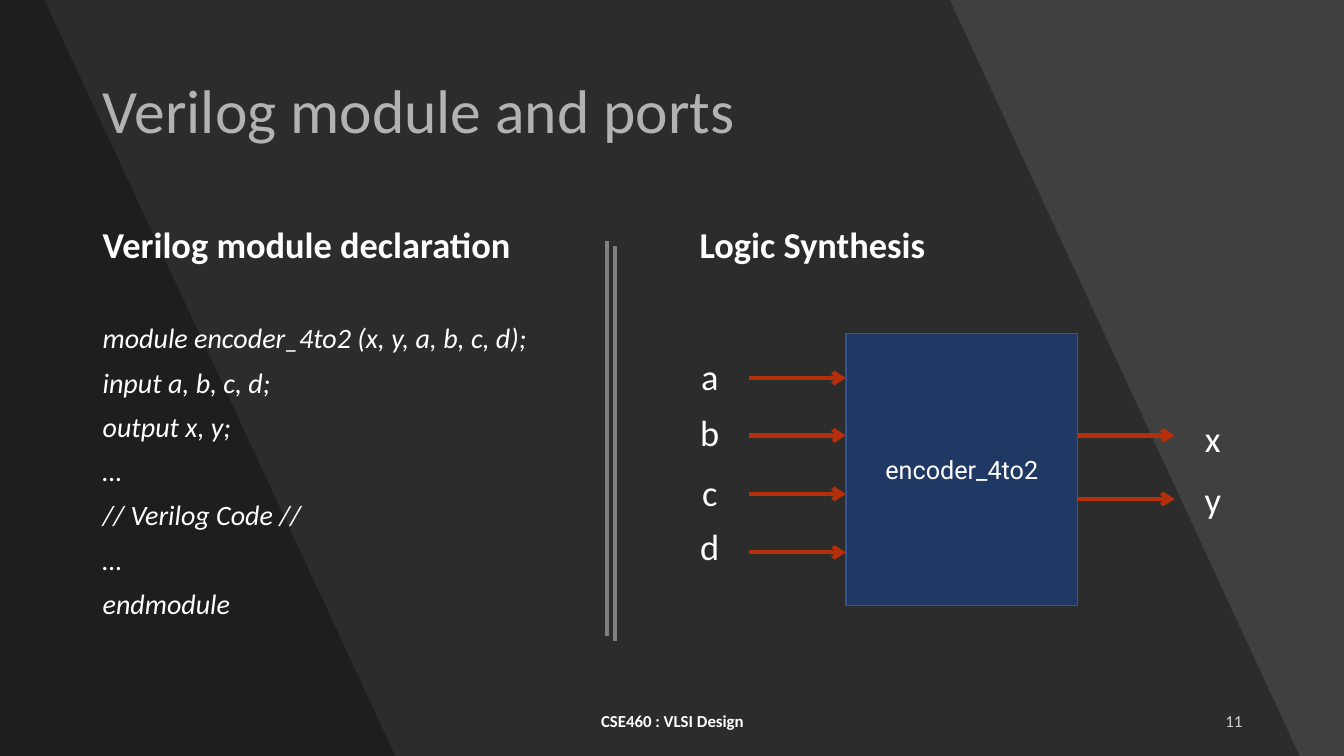
from lxml import etree
from pptx import Presentation
from pptx import util as u
from pptx.dml.color import RGBColor
from pptx.enum import shapes, text
from pptx.oxml.ns import qn

PX = 9144  # EMU in one px, 100 px to the inch
WIDTH, HEIGHT = 1333, 750

CHARCOAL = RGBColor(0x40, 0x40, 0x40)
BLACK = RGBColor(0x00, 0x00, 0x00)
WHITE = RGBColor(0xFF, 0xFF, 0xFF)
GREY = RGBColor(0x80, 0x80, 0x80)
NAVY = RGBColor(0x20, 0x38, 0x64)
BLUE = RGBColor(0x32, 0x54, 0x91)
RUST = RGBColor(0xB5, 0x2F, 0x0B)

LEFT, CENTER, RIGHT = text.PP_ALIGN.LEFT, text.PP_ALIGN.CENTER, text.PP_ALIGN.RIGHT
HEADING = dict(size=26, bold=True)
CODE = dict(size=20, italic=True)
PORT = dict(size=26)

CODE_LINES = [
    "module encoder_4to2 (x, y, a, b, c, d);",
    "input a, b, c, d;",
    "output x, y;",
    "…",
    "// Verilog Code //",
    "…",
    "endmodule",
]
# port name, top of its label and height of its arrow, from the block's top
INPUTS = [("a", 15, 44), ("b", 71, 101), ("c", 130, 159), ("d", 184, 217)]
OUTPUTS = [("x", 76, 101), ("y", 137, 164)]


def px(*lengths):
    return [u.Emu(length * PX) for length in lengths]


def set_opacity(fill_parent, percent):
    color = next(fill_parent.iter(qn("a:srgbClr")))
    etree.SubElement(color, qn("a:alpha")).set("val", str(percent * 1000))


def write(para, words, size, name="Calibri", align=LEFT, **formats):
    para.alignment = align
    span = para.add_run()
    span.text = words
    span.font.color.rgb = WHITE
    for key, value in dict(formats, size=u.Pt(size), name=name).items():
        setattr(span.font, key, value)
    return span


def add_text(page, box, words, anchor=text.MSO_ANCHOR.MIDDLE, **formats):
    frame = page.shapes.add_textbox(*px(*box)).text_frame
    frame.word_wrap = True
    frame.vertical_anchor = anchor
    span = write(frame.paragraphs[0], words, **formats)
    return frame, span


def add_line(page, start, end, color, arrow=False):
    line = page.shapes.add_connector(shapes.MSO_CONNECTOR.STRAIGHT, *px(*start, *end))
    line.line.color.rgb = color
    line.line.width = u.Pt(3)
    properties = line._element.spPr
    if arrow:
        etree.SubElement(properties.find(qn("a:ln")), qn("a:tailEnd")).set("type", "arrow")
    etree.SubElement(properties, qn("a:effectLst"))


def draw_backdrop(page):
    fill = page.background.fill
    fill.solid()
    fill.fore_color.rgb = CHARCOAL
    for top_right, bottom_right in [(942, 1289), (44, 392)]:
        builder = page.shapes.build_freeform(0, 0, scale=PX)
        builder.add_line_segments([(top_right, 0), (bottom_right, HEIGHT), (0, HEIGHT)])
        shade = builder.convert_to_shape()
        shade.shadow.inherit = False
        shade.fill.solid()
        shade.fill.fore_color.rgb = BLACK
        set_opacity(shade._element.spPr, 30)
        shade.line.fill.background()


def place_title(page, box):
    title = page.shapes.title
    title.left, title.top, title.width, title.height = px(*box)
    frame = title.text_frame
    frame.word_wrap = True
    frame.auto_size = text.MSO_AUTO_SIZE.NONE
    frame.vertical_anchor = text.MSO_ANCHOR.MIDDLE
    frame.paragraphs[0].line_spacing = 0.9
    write(frame.paragraphs[0], "Verilog module and ports", 44)


def add_column(page, box, heading, lines=()):
    frame, _ = add_text(page, box, heading, text.MSO_ANCHOR.TOP, **HEADING)
    frame.paragraphs[0].line_spacing = 0.9
    for index, words in enumerate(lines):
        para = frame.add_paragraph()
        para.line_spacing = 0.9
        para.space_before = u.Pt(10 if index else 42)
        write(para, words, **CODE)


def add_divider(page, left, top, height):
    for dx, dy in [(0, 0), (8, 5)]:
        add_line(page, (left + dx, top + dy), (left + dx, top + dy + height), GREY)


def add_ports(page, ports, top, arrow_left, label_left):
    for name, label_dy, arrow_dy in ports:
        y = top + arrow_dy
        add_line(page, (arrow_left, y), (arrow_left + 96, y), RUST, arrow=True)
        add_text(page, (label_left, top + label_dy, 54, 54), name, align=CENTER, **PORT)


def add_encoder(page, box):
    """Draw the encoder block with its input and output ports."""
    left, top, width, _ = box
    block = page.shapes.add_shape(shapes.MSO_SHAPE.RECTANGLE, *px(*box))
    block.shadow.inherit = False
    block.fill.solid()
    block.fill.fore_color.rgb = NAVY
    block.line.color.rgb = BLUE
    block.line.width = u.Pt(1)
    block.text_frame.vertical_anchor = text.MSO_ANCHOR.MIDDLE
    write(block.text_frame.paragraphs[0], "encoder_4to2", 18, "Roboto", CENTER)
    add_ports(page, INPUTS, top, left - 96, left - 162)
    add_ports(page, OUTPUTS, top, left + width, left + width + 107)


def add_footer(page, top, height):
    add_text(page, (442, top, 450, height), "CSE460 : VLSI Design",
             size=12, bold=True, align=CENTER)
    _, number = add_text(page, (942, top, 300, height), "11", size=12, align=RIGHT)
    set_opacity(number._r, 80)


def main():
    deck = Presentation()
    deck.slide_width, deck.slide_height = px(WIDTH, HEIGHT)
    page = deck.slides.add_slide(deck.slide_layouts.get_by_name("Title Only"))
    draw_backdrop(page)
    place_title(page, (92, 40, 1150, 145))
    add_column(page, (92, 220, 557, 456), "Verilog module declaration", CODE_LINES)
    add_column(page, (684, 220, 557, 456), "Logic Synthesis")
    add_encoder(page, (839, 331, 230, 270))
    add_divider(page, 602, 239, 392)
    add_footer(page, 695, 40)
    deck.save("out.pptx")


if __name__ == "__main__":
    main()
